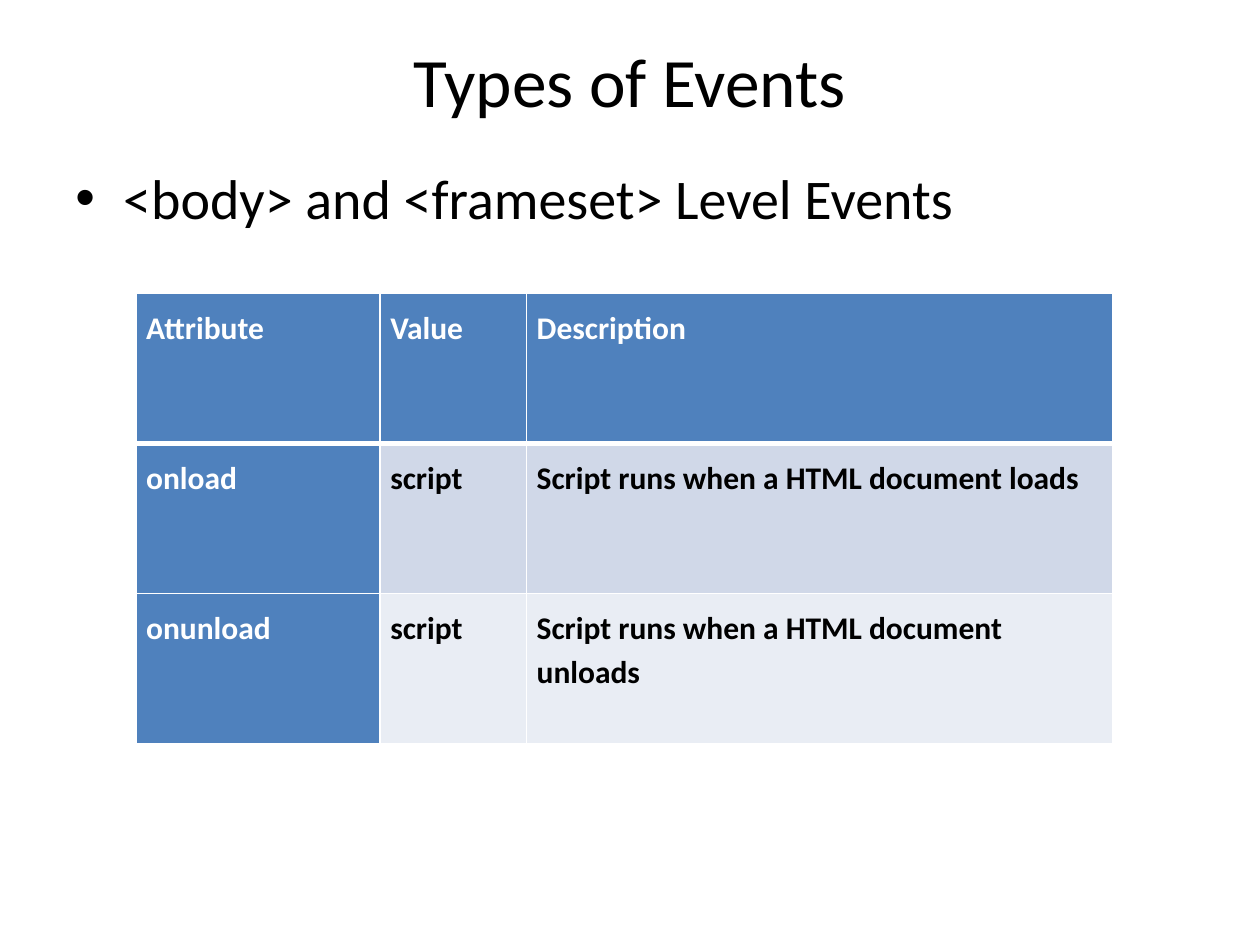
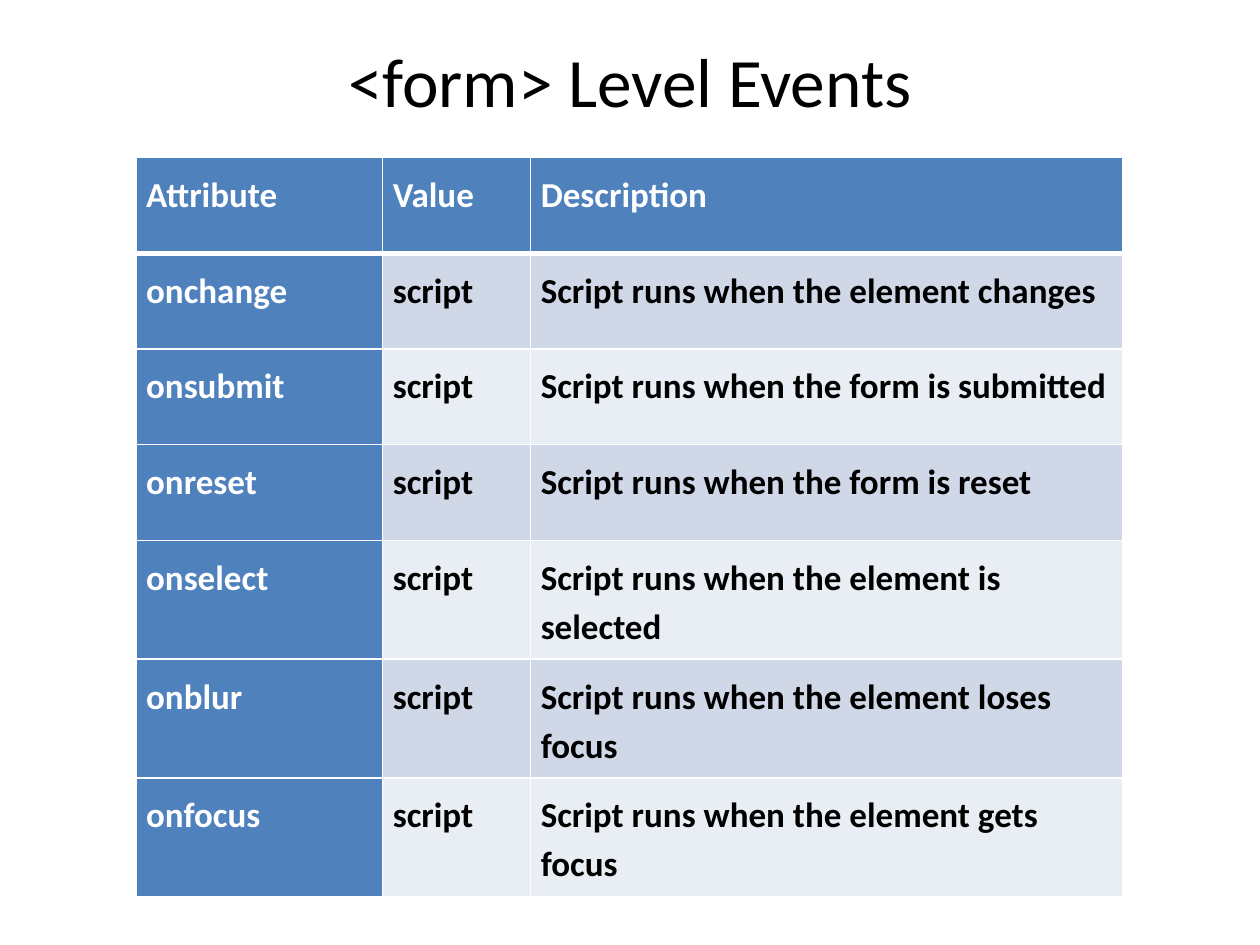
from lxml.etree import SubElement
from pptx import Presentation
from pptx.dml.color import RGBColor
from pptx.enum.text import MSO_ANCHOR, MSO_AUTO_SIZE, PP_ALIGN
from pptx.oxml.ns import qn
from pptx.util import Inches, Pt

# Content
HEAD = ("Attribute", "Value", "Description")
PAGES = [
    dict(
        title="Types of Events",
        point="<body> and <frameset> Level Events",
        rows=[
            ("onload", "Script runs when a HTML document loads"),
            ("onunload", "Script runs when a HTML document unloads"),
        ],
        top=2.33, width=7.75, high=1.19, size=18,
    ),
    dict(
        title="<form> Level Events",
        point=None,
        rows=[
            ("onchange", "Script runs when the element changes"),
            ("onsubmit", "Script runs when the form is submitted"),
            ("onreset", "Script runs when the form is reset"),
            ("onselect", "Script runs when the element is selected"),
            ("onblur", "Script runs when the element loses focus"),
            ("onfocus", "Script runs when the element gets focus"),
        ],
        top=1.25, width=7.83, high=0.76, size=20,
    ),
]

# Shared look
WIDE, TALL = 10, 7.5
EDGE = WIDE / 20
LEFT = 1.08
SHARES = (0.25, 0.15, 0.6)
FONT = "Calibri"
BLACK = RGBColor(0x00, 0x00, 0x00)
WHITE = RGBColor(0xFF, 0xFF, 0xFF)
BLUE = RGBColor(0x4F, 0x81, 0xBD)
BANDS = (RGBColor(0xD0, 0xD8, 0xE8), RGBColor(0xE9, 0xED, 0xF4))


def write(frame, text, size, color=BLACK, bold=False,
          align=PP_ALIGN.LEFT, line=None, after=None):
    frame.word_wrap = True
    para = frame.paragraphs[0]
    para.alignment = align
    if line:
        para.line_spacing = line
    if after:
        para.space_after = Pt(after)
    run = para.add_run()
    run.text = text
    font = run.font
    font.name, font.size, font.bold = FONT, Pt(size), bold
    font.color.rgb = color
    return para


def add_title(slide, text):
    title = slide.shapes.title
    title.left, title.top = Inches(EDGE), Inches(0.3)
    title.width, title.height = Inches(WIDE - 2 * EDGE), Inches(1.25)
    frame = title.text_frame
    frame.auto_size = MSO_AUTO_SIZE.NONE
    frame.vertical_anchor = MSO_ANCHOR.TOP
    frame.margin_top = 0
    write(frame, text, 39.6, align=PP_ALIGN.CENTER)


def add_point(slide, text):
    box = slide.shapes.add_textbox(
        Inches(EDGE), Inches(1.25), Inches(WIDE - 2 * EDGE), Inches(5.45))
    para = write(box.text_frame, text, 32)
    # Hanging bullet
    props = para._p.get_or_add_pPr()
    props.set("marL", str(Inches(0.38)))
    props.set("indent", str(-Inches(0.38)))
    SubElement(props, qn("a:buFont"), typeface="Arial")
    SubElement(props, qn("a:buChar"), char="•")


def add_rules(cell, row):
    thick = {"T": 3 if row == 1 else 1, "B": 3 if row == 0 else 1}
    props = cell._tc.get_or_add_tcPr()
    for side in "LRTB":
        rule = SubElement(props, qn(f"a:ln{side}"), w=str(Pt(thick.get(side, 1))))
        fill = SubElement(rule, qn("a:solidFill"))
        SubElement(fill, qn("a:srgbClr"), val=str(WHITE))


def add_grid(slide, rows, top, width, high, size):
    data = [HEAD] + [(name, "script", note) for name, note in rows]
    grid = slide.shapes.add_table(
        len(data), len(HEAD), Inches(LEFT), Inches(top),
        Inches(width), Inches(high * len(data))).table
    grid.first_col = True
    grid.horz_banding = False
    for col, share in zip(grid.columns, SHARES):
        col.width = Inches(width * share)
    for r, line in enumerate(data):
        grid.rows[r].height = Inches(high)
        for c, text in enumerate(line):
            cell = grid.cell(r, c)
            key = r == 0 or c == 0
            cell.margin_left = cell.margin_right = Inches(0.08)
            cell.margin_top = cell.margin_bottom = Inches(0.08)
            add_rules(cell, r)
            cell.fill.solid()
            cell.fill.fore_color.rgb = BLUE if key else BANDS[(r - 1) % 2]
            write(cell.text_frame, text, size, WHITE if key else BLACK,
                  bold=True, line=1.15, after=15)


def main():
    deck = Presentation()
    deck.slide_width, deck.slide_height = Inches(WIDE), Inches(TALL)
    for page in PAGES:
        slide = deck.slides.add_slide(deck.slide_layouts[5])
        add_title(slide, page["title"])
        if page["point"]:
            add_point(slide, page["point"])
        add_grid(slide, page["rows"], page["top"], page["width"],
                 page["high"], page["size"])
    deck.save("out.pptx")


if __name__ == "__main__":
    main()
